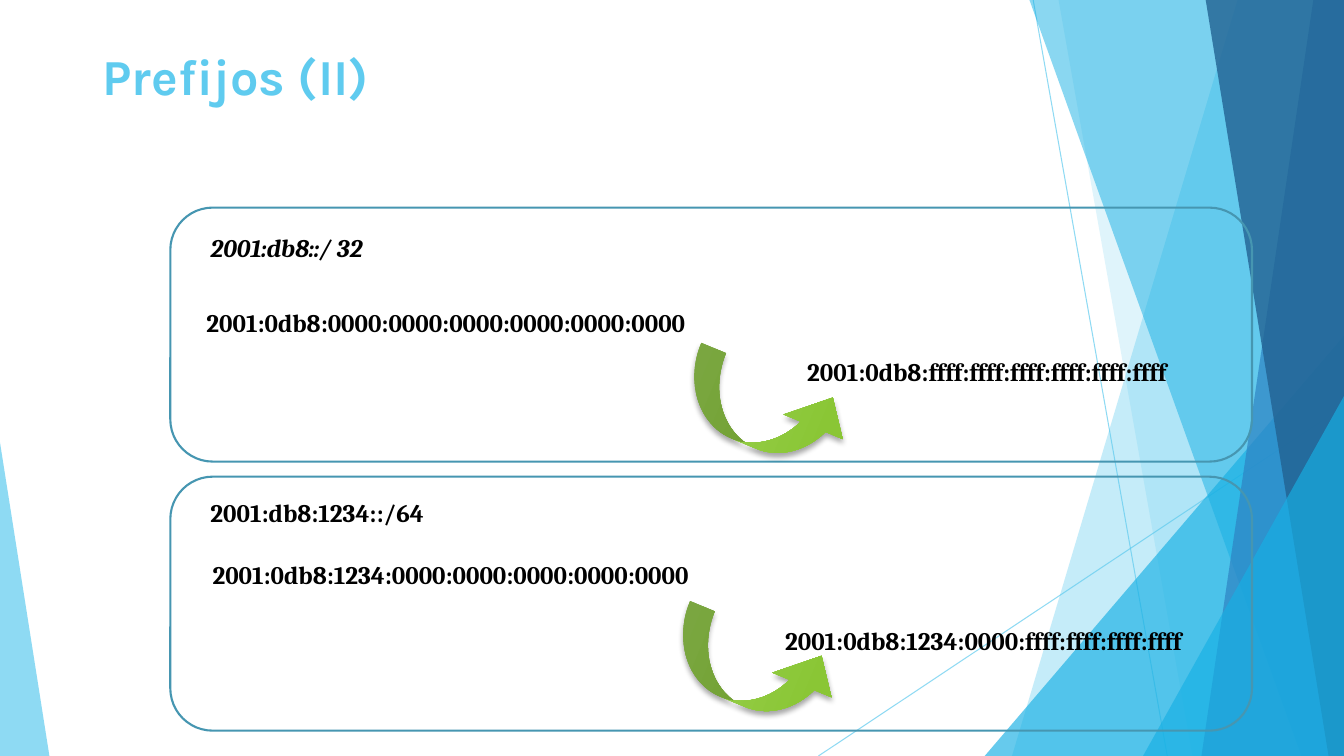
from dataclasses import dataclass

from lxml import etree
from pptx import Presentation
from pptx.dml.color import RGBColor
from pptx.enum import shapes, text
from pptx.oxml import ns
from pptx.util import Pt


@dataclass(frozen=True)
class Theme:
    sky: str = "5FCBEF"
    cyan: str = "17B0E4"
    blue: str = "2E83C3"
    navy: str = "226292"
    panel: str = "4696B1"
    lime: str = "9CD356"
    green: str = "8AC635"
    ink: str = "000000"
    title_font: str = "Karla"
    body_font: str = "Cambria"
    title_size: int = 36
    body_size: int = 18


THEME = Theme()
WIDTH, HEIGHT = 960, 540
BLEED = -0.7
PANEL_STEP = 192.2


def rgb(code):
    return RGBColor.from_string(code)


def set_opacity(element, percent):
    """Apply one opacity to every colour inside the element."""
    for color in element.iter(ns.qn("a:srgbClr")):
        etree.SubElement(color, ns.qn("a:alpha"), val=str(percent * 1000))


def paint(shape, color, opacity):
    shape.shadow.inherit = False
    shape.fill.solid()
    shape.fill.fore_color.rgb = rgb(color)
    shape.line.fill.background()
    set_opacity(shape.fill._xPr, opacity)


def add_thin_line(page, start, end):
    line = page.shapes.add_connector(
        shapes.MSO_CONNECTOR.STRAIGHT, *map(Pt, start + end))
    line.line.color.rgb = rgb(THEME.sky)
    line.line.width = Pt(0.75)
    properties = line._element.spPr
    set_opacity(properties, 70)
    etree.SubElement(properties, ns.qn("a:effectLst"))


def add_band(page, top_left, bottom_left, color, opacity):
    """Draw a slanted band that reaches the right edge of the page."""
    builder = page.shapes.build_freeform(Pt(top_left), Pt(BLEED), scale=1.0)
    corners = [(WIDTH, BLEED), (WIDTH, HEIGHT), (bottom_left, HEIGHT)]
    builder.add_line_segments([(Pt(x), Pt(y)) for x, y in corners], close=True)
    paint(builder.convert_to_shape(), color, opacity)


def add_corner(page, left, top, width, apex, color, opacity):
    """Draw a right triangle that stands on the bottom of the page."""
    corner = page.shapes.add_shape(
        shapes.MSO_SHAPE.ISOSCELES_TRIANGLE,
        Pt(left), Pt(top), Pt(width), Pt(HEIGHT - top))
    corner.adjustments[0] = apex
    paint(corner, color, opacity)


def add_backdrop(page):
    add_thin_line(page, (738, 0), (833.8, HEIGHT))
    add_thin_line(page, (WIDTH, 290.2), (584.6, HEIGHT))
    add_band(page, 884.2, 722.9, THEME.sky, 36)
    add_band(page, 756, 851.8, THEME.sky, 20)
    add_corner(page, 703.4, 239.8, 256.6, 1, THEME.cyan, 66)
    add_band(page, 735.1, 929.5, THEME.cyan, 50)
    add_band(page, 938.2, 858.2, THEME.blue, 70)
    add_band(page, 861.1, 949, THEME.navy, 80)
    add_corner(page, 816.5, 283, 143.5, 1, THEME.cyan, 66)
    add_corner(page, 0, 316.1, 35.3, 0, THEME.sky, 70)


def add_text(page, place, words, font, size, color, wrap=False, italic=None):
    box = page.shapes.add_textbox(*map(Pt, place))
    frame = box.text_frame
    frame.word_wrap = wrap
    frame.vertical_anchor = text.MSO_ANCHOR.TOP
    para = frame.paragraphs[0]
    span = para.add_run()
    span.text = words
    span.font.name = font
    span.font.size = Pt(size)
    span.font.bold = True
    span.font.italic = italic
    span.font.color.rgb = rgb(color)
    return box


def add_address(page, place, words, spaced=True, italic=None):
    box = add_text(page, place, words, THEME.body_font, THEME.body_size,
                   THEME.ink, italic=italic)
    box.text_frame.auto_size = text.MSO_AUTO_SIZE.SHAPE_TO_FIT_TEXT
    if spaced:
        para = box.text_frame.paragraphs[0]
        para.alignment = text.PP_ALIGN.JUSTIFY
        para.line_spacing = 1.15
        para.space_after = Pt(10)


def add_panel(page, top):
    panel = page.shapes.add_shape(
        shapes.MSO_SHAPE.ROUNDED_RECTANGLE,
        Pt(121.7), Pt(top), Pt(772.6), Pt(181.4))
    panel.shadow.inherit = False
    panel.fill.background()
    panel.line.color.rgb = rgb(THEME.panel)
    panel.line.width = Pt(1.5)


def add_range_arrow(page, left, top):
    """Draw the curved arrow from the first address to the last one."""
    arrow = page.shapes.add_shape(
        shapes.MSO_SHAPE.CURVED_RIGHT_ARROW,
        Pt(left), Pt(top), Pt(54.7), Pt(124.6))
    arrow.rotation = 292.6
    for index, value in enumerate((0.35, 0.836, 0.45)):
        arrow.adjustments[index] = value
    arrow.line.fill.background()
    arrow.fill.gradient()
    arrow.fill.gradient_angle = 270
    stops = ((0, THEME.lime), (0.78, THEME.green))
    for stop, (position, color) in zip(arrow.fill.gradient_stops, stops):
        stop.position = position
        stop.color.rgb = rgb(color)
    arrow.shadow.inherit = False
    effects = arrow._element.spPr.find(ns.qn("a:effectLst"))
    shadow = etree.SubElement(
        effects, ns.qn("a:outerShdw"), blurRad=str(Pt(4)), dist=str(Pt(3)),
        dir="5400000", rotWithShape="0")
    etree.SubElement(shadow, ns.qn("a:srgbClr"), val=THEME.ink)
    set_opacity(shadow, 35)


def main():
    deck = Presentation()
    deck.slide_width, deck.slide_height = Pt(WIDTH), Pt(HEIGHT)
    page = deck.slides.add_slide(deck.slide_layouts[6])
    add_backdrop(page)
    add_text(page, (66.2, 28.8, 828, 104.4), "Prefijos (II)",
             THEME.title_font, THEME.title_size, THEME.sky, wrap=True)

    for row in range(2):
        add_panel(page, 148.3 + row * PANEL_STEP)

    add_address(page, (143.3, 159.1, 135.4, 31), "2001:db8::/ 32", italic=True)
    add_address(page, (140.4, 212.4, 382.3, 32.4),
                "2001:0db8:0000:0000:0000:0000:0000:0000")
    add_address(page, (569.5, 247.7, 285.1, 32.4),
                "2001:0db8:ffff:ffff:ffff:ffff:ffff:ffff")
    add_range_arrow(page, 520.6, 231.8)

    add_address(page, (143.3, 351.4, 177.1, 28.8), "2001:db8:1234::/64",
                spaced=False)
    add_address(page, (144.7, 392.4, 382.3, 64.8),
                "2001:0db8:1234:0000:0000:0000:0000:0000")
    add_address(page, (553.7, 439.9, 317.5, 31),
                "2001:0db8:1234:0000:ffff:ffff:ffff:ffff")
    add_range_arrow(page, 512.6, 416.2)

    deck.save("out.pptx")


if __name__ == "__main__":
    main()
